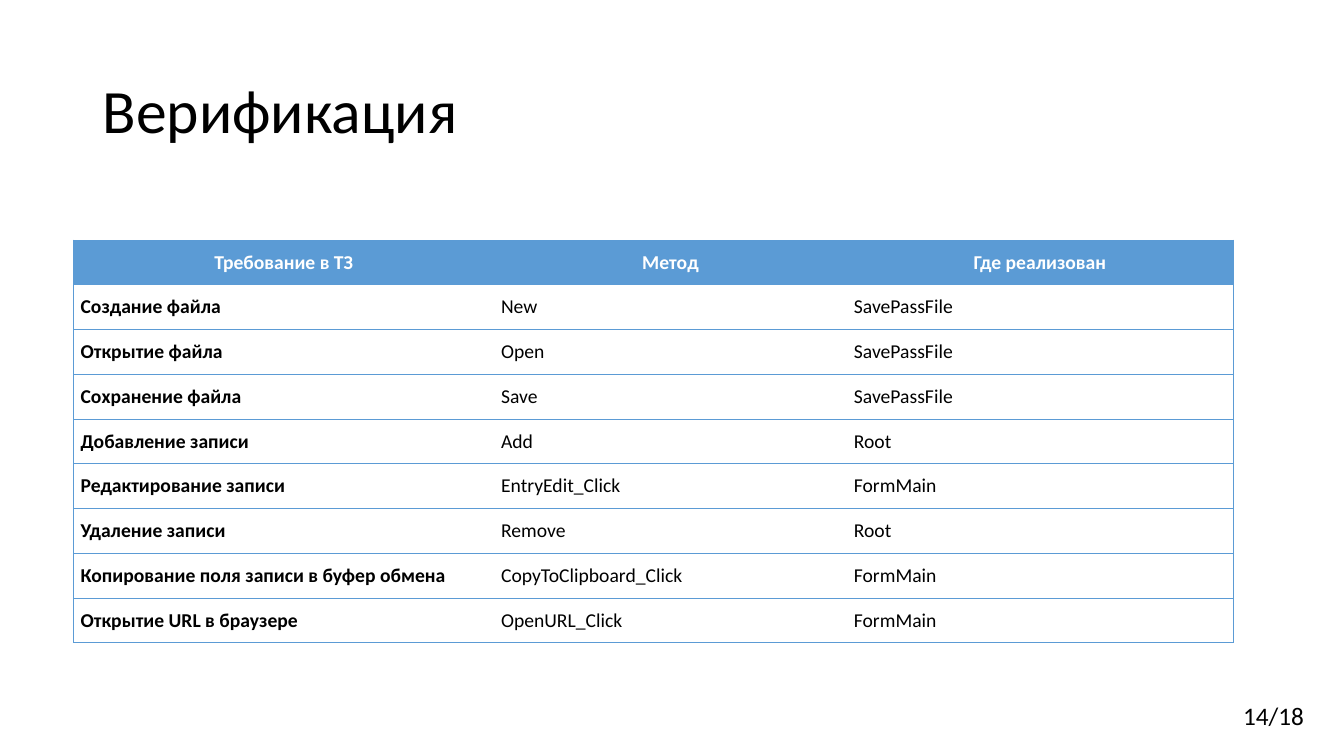
from lxml import etree
from pptx import Presentation
from pptx import util as u
from pptx.dml.color import RGBColor
from pptx.enum import text
from pptx.oxml import ns

COLORS = {"text": "000000", "header": "5B9BD5", "paper": "FFFFFF"}
FONT = "Calibri"
ROWS = [
    ("Требование в ТЗ", "Метод", "Где реализован"),
    ("Создание файла", "New", "SavePassFile"),
    ("Открытие файла", "Open", "SavePassFile"),
    ("Сохранение файла", "Save", "SavePassFile"),
    ("Добавление записи", "Add", "Root"),
    ("Редактирование записи", "EntryEdit_Click", "FormMain"),
    ("Удаление записи", "Remove", "Root"),
    ("Копирование поля записи в буфер обмена", "CopyToClipboard_Click", "FormMain"),
    ("Открытие URL в браузере", "OpenURL_Click", "FormMain"),
]
COLUMN_WIDTHS = (4.17, 3.5, 3.83)


def format_text(p, size, color="text", bold=False):
    for r in p.runs:
        r.font.name = FONT
        r.font.size = u.Pt(size)
        r.font.bold = bold
        r.font.color.rgb = RGBColor.from_string(COLORS[color])


def add_border(cell, side, visible):
    tcPr = cell._tc.get_or_add_tcPr()
    ln = etree.SubElement(tcPr, ns.qn(f"a:ln{side}"), w=str(u.Pt(0.5)))
    if visible:
        fill = etree.SubElement(ln, ns.qn("a:solidFill"))
        etree.SubElement(fill, ns.qn("a:srgbClr"), val=COLORS["header"])
    else:
        etree.SubElement(ln, ns.qn("a:noFill"))


prs = Presentation()
prs.slide_width, prs.slide_height = u.Inches(13.33), u.Inches(7.5)
s = prs.slides.add_slide(prs.slide_layouts[5])

# Title
title = s.shapes.title
title.left, title.top = u.Inches(0.92), u.Inches(0.4)
title.width, title.height = u.Inches(11.5), u.Inches(1.45)
tf = title.text_frame
tf.text = "Верификация"
tf.vertical_anchor = text.MSO_ANCHOR.MIDDLE
p = tf.paragraphs[0]
p.alignment = text.PP_ALIGN.LEFT
p.line_spacing = 0.9
format_text(p, 44)

# Table of requirements: horizontal rules and an outer frame
table = s.shapes.add_table(
    len(ROWS), len(COLUMN_WIDTHS),
    u.Inches(0.73), u.Inches(2.38), u.Inches(sum(COLUMN_WIDTHS)), u.Inches(4),
).table
for column, width in zip(table.columns, COLUMN_WIDTHS):
    column.width = u.Inches(width)

last = len(COLUMN_WIDTHS) - 1
for i, row in enumerate(ROWS):
    for j, value in enumerate(row):
        header = i == 0
        cell = table.cell(i, j)
        cell.text = value
        cell.vertical_anchor = text.MSO_ANCHOR.MIDDLE
        cell.margin_left = cell.margin_right = u.Inches(0.07)
        cell.margin_top = cell.margin_bottom = 0
        p = cell.text_frame.paragraphs[0]
        p.alignment = text.PP_ALIGN.CENTER if header else text.PP_ALIGN.LEFT
        format_text(p, 14, "paper" if header else "text", header or j == 0)
        for side, visible in (("L", j == 0), ("R", j == last), ("T", True), ("B", True)):
            add_border(cell, side, visible)
        cell.fill.solid()
        cell.fill.fore_color.rgb = RGBColor.from_string(COLORS["header" if header else "paper"])

# Page number
page = s.shapes.add_textbox(u.Inches(12.23), u.Inches(6.9), u.Inches(0.81), u.Inches(0.4))
tf = page.text_frame
tf.text = "14/18"
tf.word_wrap = False
tf.auto_size = text.MSO_AUTO_SIZE.SHAPE_TO_FIT_TEXT
format_text(tf.paragraphs[0], 18)

prs.save("out.pptx")
